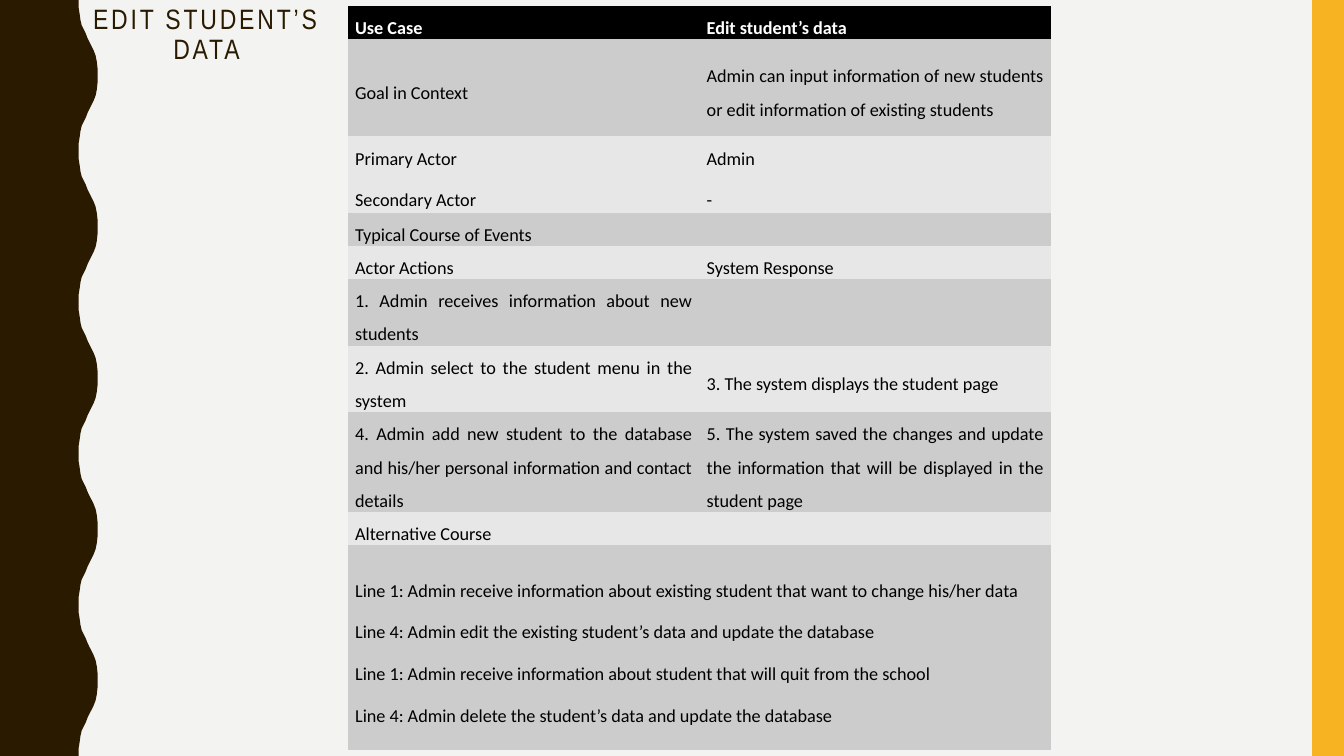
from dataclasses import dataclass

from pptx import Presentation
from pptx.dml.color import RGBColor
from pptx.enum.shapes import MSO_SHAPE
from pptx.enum.text import MSO_ANCHOR, MSO_AUTO_SIZE, PP_ALIGN
from pptx.util import Cm, Pt

RECTANGLE = MSO_SHAPE.RECTANGLE
TOP, MIDDLE = MSO_ANCHOR.TOP, MSO_ANCHOR.MIDDLE
CENTER, JUSTIFY = PP_ALIGN.CENTER, PP_ALIGN.JUSTIFY
NO_AUTOFIT = MSO_AUTO_SIZE.NONE
TITLE_ONLY = 5
PLAIN_TABLE_STYLE = "{2D5ABB26-0587-4C30-8999-92F81FD0307C}"

SLIDE_WIDTH, SLIDE_HEIGHT = 33.87, 19.05

# Half a wave of the left band, as (x, y) in cm; the other half mirrors it
WAVE_COUNT = 5
WAVE_PERIOD = SLIDE_HEIGHT / WAVE_COUNT
HALF_WAVE = [
    (1.98, 0), (1.98, 0.18), (2.01, 0.36), (2.03, 0.51), (2.06, 0.64),
    (2.11, 0.74), (2.16, 0.84), (2.21, 0.97), (2.26, 1.07), (2.31, 1.17),
    (2.36, 1.27), (2.41, 1.4), (2.44, 1.55), (2.46, 1.73), (2.46, 1.9),
]

# Row height in cm, then one text per cell; a single text spans both columns
USE_CASE_ROWS = [
    (0.81, "Use Case", "Edit student’s data"),
    (2.44, "Goal in Context",
     "Admin can input information of new students or edit information of existing students"),
    (1.93, "Primary Actor\nSecondary Actor", "Admin\n-"),
    (0.81, "Typical Course of Events"),
    (0.81, "Actor Actions", "System Response"),
    (1.65, "1. Admin receives information about new students", ""),
    (1.65, "2. Admin select to the student menu in the system",
     "3. The system displays the student page"),
    (2.46, "4. Admin add new student to the database and his/her personal "
           "information and contact details",
     "5. The system saved the changes and update the information that will be "
     "displayed in the student page"),
    (0.81, "Alternative Course"),
    (5.16, "Line 1: Admin receive information about existing student that want to change his/her data\n"
           "Line 4: Admin edit the existing student’s data and update the database\n"
           "Line 1: Admin receive information about student that will quit from the school\n"
           "Line 4: Admin delete the student’s data and update the database"),
]


@dataclass
class Theme:
    paper: str = "F3F3F2"
    brown: str = "2A1A00"
    amber: str = "F8B323"
    black: str = "000000"
    white: str = "FFFFFF"
    dark_band: str = "CCCCCC"
    light_band: str = "E7E7E7"
    title_font: str = "Arial Narrow"
    body_font: str = "Calibri"
    title_size: int = 20
    body_size: int = 13


def paint(fill, color):
    fill.solid()
    fill.fore_color.rgb = RGBColor.from_string(color)


def write(frame, text, *, font, size, color, align, line_spacing,
          bold=False, space_after=0, tracking=0):
    """Put each line of the text in its own paragraph."""
    for index, line in enumerate(text.split("\n")):
        para = frame.add_paragraph() if index else frame.paragraphs[0]
        para.alignment = align
        para.line_spacing = line_spacing
        para.space_before = Pt(0)
        para.space_after = Pt(space_after)
        span = para.add_run()
        span.text = line
        span.font.name = font
        span.font.size = Pt(size)
        span.font.bold = bold
        span.font.color.rgb = RGBColor.from_string(color)
        if tracking:
            span.font._element.set("spc", str(tracking * 100))


class SlideBuilder:
    def __init__(self, slide, theme):
        self.slide = slide
        self.theme = theme

    def background(self):
        paint(self.slide.background.fill, self.theme.paper)

    def finish(self, shape, color):
        paint(shape.fill, color)
        shape.line.fill.background()
        shape.shadow.inherit = False

    def wavy_band(self):
        mirrored = [(x, WAVE_PERIOD - y) for x, y in reversed(HALF_WAVE[1:-1])]
        edge = [(Cm(x), Cm(y + wave * WAVE_PERIOD))
                for wave in range(WAVE_COUNT) for x, y in HALF_WAVE + mirrored]
        corners = [(Cm(HALF_WAVE[0][0]), Cm(SLIDE_HEIGHT)), (0, Cm(SLIDE_HEIGHT))]
        outline = self.slide.shapes.build_freeform(0, 0)
        outline.add_line_segments(edge + corners, close=True)
        self.finish(outline.convert_to_shape(), self.theme.brown)

    def side_bar(self, left):
        bar = self.slide.shapes.add_shape(
            RECTANGLE, Cm(left), 0, Cm(SLIDE_WIDTH - left), Cm(SLIDE_HEIGHT))
        self.finish(bar, self.theme.amber)

    def title(self, text, left, top, width, height):
        title = self.slide.shapes.title
        title.left, title.top = Cm(left), Cm(top)
        title.width, title.height = Cm(width), Cm(height)
        frame = title.text_frame
        frame.word_wrap = True
        frame.auto_size = NO_AUTOFIT
        frame.vertical_anchor = MIDDLE
        write(frame, text, font=self.theme.title_font, size=self.theme.title_size,
              color=self.theme.brown, align=CENTER, line_spacing=0.9, tracking=2)

    def table(self, rows, left, top, column_width):
        total_height = sum(row[0] for row in rows)
        table = self.slide.shapes.add_table(
            len(rows), 2, Cm(left), Cm(top), Cm(2 * column_width), Cm(total_height)).table
        table._tbl.tblPr[0].text = PLAIN_TABLE_STYLE
        for column in table.columns:
            column.width = Cm(column_width)
        for index, (height, *texts) in enumerate(rows):
            table.rows[index].height = Cm(height)
            if len(texts) == 1:
                table.cell(index, 0).merge(table.cell(index, 1))
            for column, text in enumerate(texts):
                self.cell(table.cell(index, column), text, index, column)

    def cell(self, cell, text, row, column):
        theme = self.theme
        header = row == 0
        band = theme.dark_band if row % 2 else theme.light_band
        paint(cell.fill, theme.black if header else band)
        cell.vertical_anchor = TOP if header else MIDDLE
        cell.margin_left = cell.margin_right = Cm(0.19)
        cell.margin_top = cell.margin_bottom = 0
        if text:
            write(cell.text_frame, text, font=theme.body_font, size=theme.body_size,
                  color=theme.white if header else theme.black, bold=header,
                  align=JUSTIFY, line_spacing=1.5,
                  space_after=6 if column == 0 or "\n" in text else 0)


def main():
    deck = Presentation()
    deck.slide_width, deck.slide_height = Cm(SLIDE_WIDTH), Cm(SLIDE_HEIGHT)
    page = SlideBuilder(deck.slides.add_slide(deck.slide_layouts[TITLE_ONLY]), Theme())

    # Backdrop
    page.background()
    page.wavy_band()
    page.side_bar(33.07)

    # Title and use case
    page.title("EDIT STUDENT’S DATA", 2.03, 0.25, 6.35, 1.27)
    page.table(USE_CASE_ROWS, 8.76, 0.15, 8.86)

    deck.save("out.pptx")


if __name__ == "__main__":
    main()
